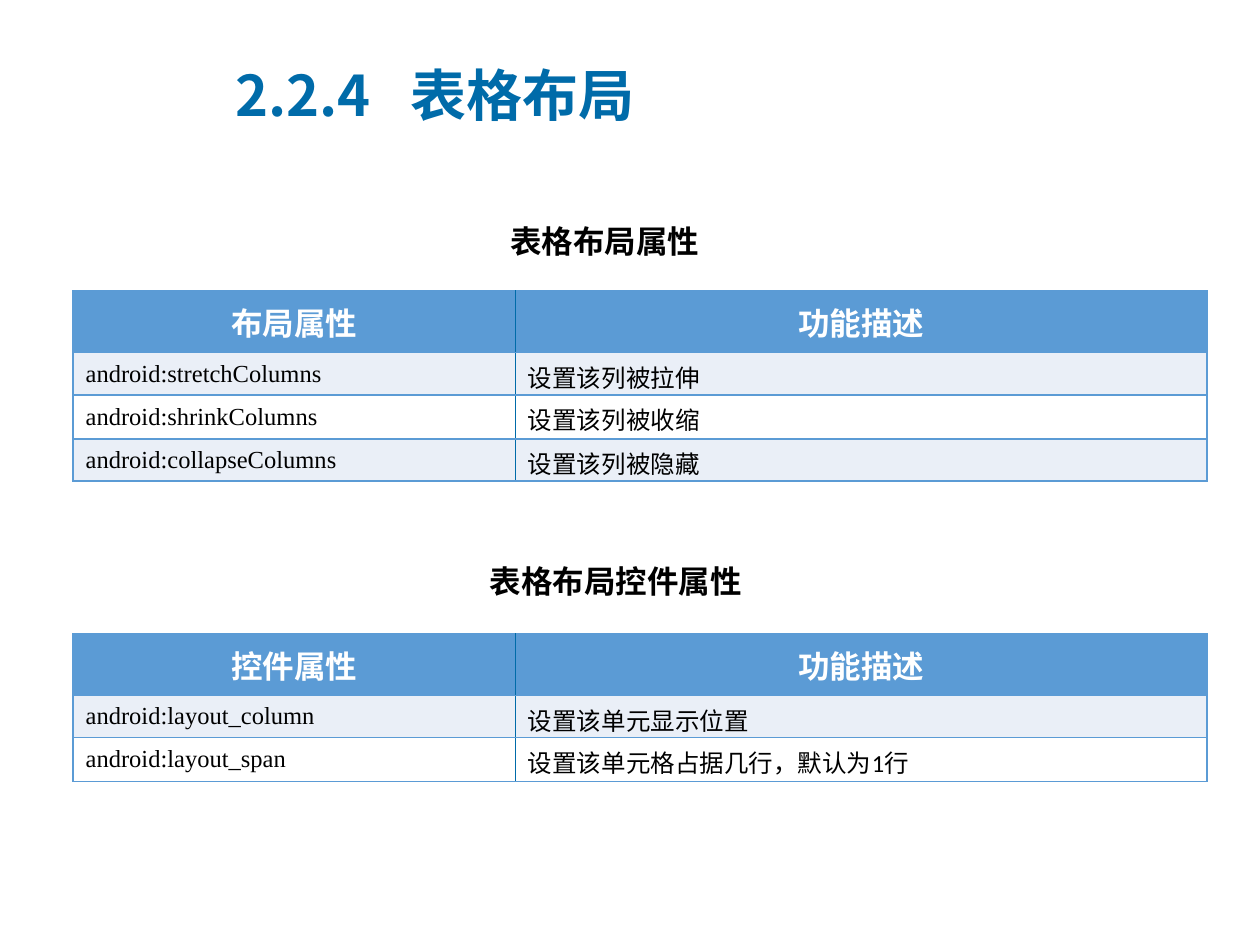
from lxml import etree
from pptx import Presentation
from pptx.dml.color import RGBColor
from pptx.enum.text import MSO_ANCHOR, MSO_AUTO_SIZE, PP_ALIGN
from pptx.oxml.ns import qn
from pptx.util import Inches, Pt

MID, TOP = MSO_ANCHOR.MIDDLE, MSO_ANCHOR.TOP
LEFT, CENTER = PP_ALIGN.LEFT, PP_ALIGN.CENTER
GROW, FIXED = MSO_AUTO_SIZE.SHAPE_TO_FIT_TEXT, MSO_AUTO_SIZE.NONE
BLUE, DARK, PALE, WHITE, BLACK = "5B9BD5", "006BA9", "EAEFF7", "FFFFFF", "000000"
SANS, SERIF, HAN = "Calibri", "Times New Roman", "Noto Sans CJK SC"

deck = Presentation()
deck.slide_width, deck.slide_height = Inches(10), Inches(7.5)
slide = deck.slides.add_slide(deck.slide_layouts[6])
U = deck.slide_width / 100  # grid unit: 100 columns by 75 rows


def tint(code):
    return RGBColor.from_string(code)


def write(frame, text, size=18, font=SANS, color=BLACK, bold=True, align=LEFT):
    para = frame.paragraphs[0]
    para.alignment = align
    run = para.add_run()
    run.text = text
    run.font.size, run.font.name, run.font.bold = Pt(size), font, bold
    run.font.color.rgb = tint(color)
    return para


# Title and table captions
labels = [
    ("2.2.4\t表格布局", 17.7, 4.4, 77.2, 6.1, True, dict(size=32, font=HAN, color=DARK)),
    ("表格布局属性", 39.5, 17.1, 17.3, 4, False, {}),
    ("表格布局控件属性", 37.9, 44.1, 22.3, 4, False, {}),
]
for text, x, y, w, h, wrap, style in labels:
    box = slide.shapes.add_textbox(*(int(v * U) for v in (x, y, w, h)))
    frame = box.text_frame
    frame.word_wrap = wrap
    frame.auto_size = FIXED if wrap else GROW
    frame.vertical_anchor = MID if wrap else TOP
    para = write(frame, text, **style)
    if "\t" in text:  # tab stop between number and heading
        stops = etree.SubElement(para._p.get_or_add_pPr(), qn("a:tabLst"))
        etree.SubElement(stops, qn("a:tab"), pos=str(int(13.9 * U)), algn="l")

# Tables: top row of the grid, then their rows of text
tables = [
    (23.1, [
        ("布局属性", "功能描述"),
        ("android:stretchColumns", "设置该列被拉伸"),
        ("android:shrinkColumns", "设置该列被收缩"),
        ("android:collapseColumns", "设置该列被隐藏"),
    ]),
    (50.3, [
        ("控件属性", "功能描述"),
        ("android:layout_column", "设置该单元显示位置"),
        ("android:layout_span", "设置该单元格占据几行，默认为1行"),
    ]),
]
widths = (35.1, 54.9)
heights = (4.9, 3.3, 3.5, 3.3)

for top, rows in tables:
    tall = sum(heights[:len(rows)])
    grid = slide.shapes.add_table(len(rows), 2, int(5.8 * U), int(top * U),
                                  int(sum(widths) * U), int(tall * U)).table
    for col, width in zip(grid.columns, widths):
        col.width = int(width * U)
    for i, row in enumerate(rows):
        grid.rows[i].height = int(heights[i] * U)
        for j, text in enumerate(row):
            cell = grid.cell(i, j)
            cell.vertical_anchor = MID
            if i == 0:
                write(cell.text_frame, text, color=WHITE, align=CENTER)
            else:
                write(cell.text_frame, text, size=14, bold=False,
                      font=SANS if j else SERIF)

            # Borders go before the fill; the middle line is darker
            props = cell._tc.get_or_add_tcPr()
            for side in ("lnL", "lnR", "lnT", "lnB"):
                inner = side == ("lnL" if j else "lnR")
                line = etree.SubElement(props, qn("a:" + side), w=str(Pt(1)))
                paint = etree.SubElement(line, qn("a:solidFill"))
                etree.SubElement(paint, qn("a:srgbClr"), val=DARK if inner else BLUE)
            cell.fill.solid()
            cell.fill.fore_color.rgb = tint(BLUE if i == 0 else PALE if i % 2 else WHITE)

deck.save("out.pptx")
